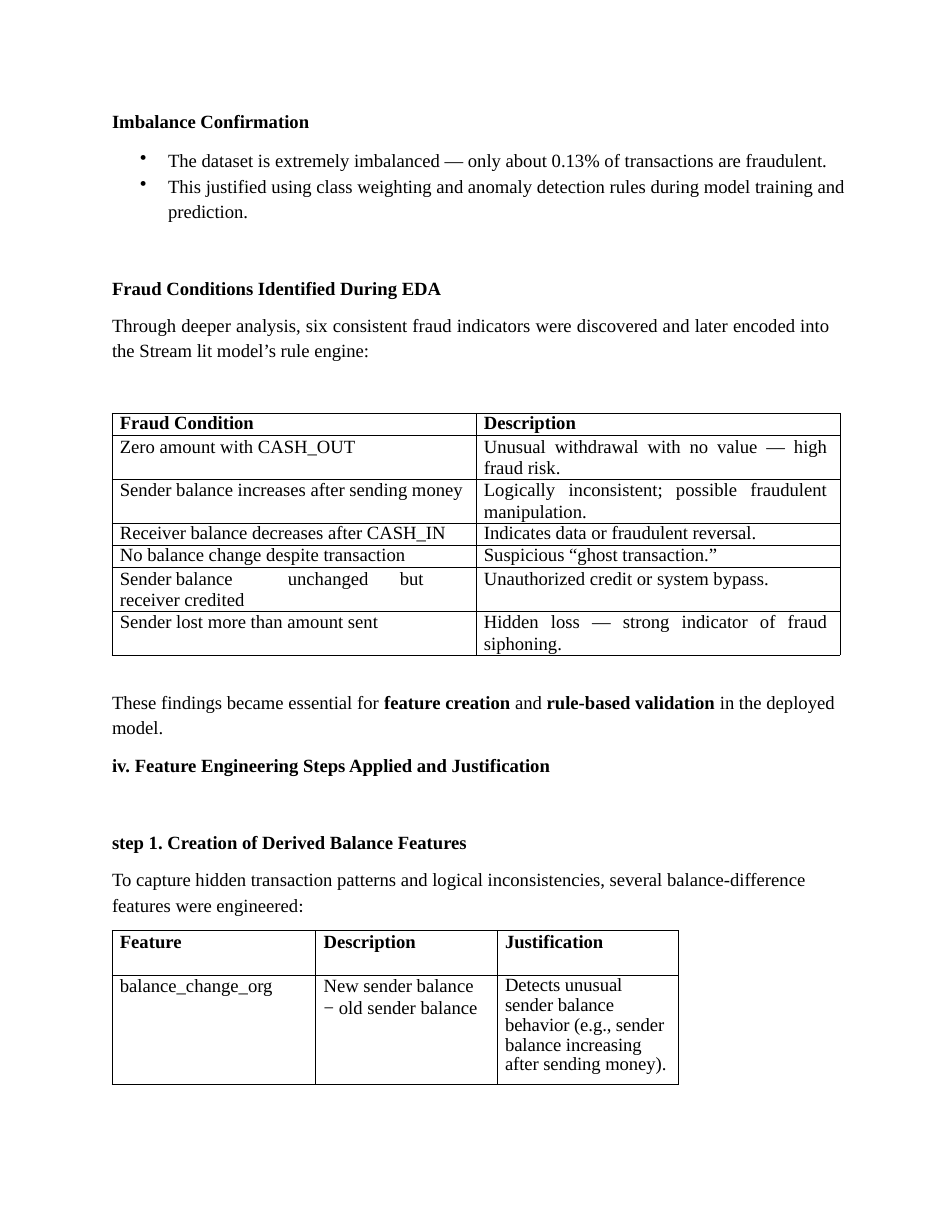
from lxml import etree
from pptx import Presentation
from pptx import util as u
from pptx.dml import color
from pptx.enum import text as t
from pptx.oxml import ns

COLORS = {"ink": "000000", "border": "000000"}
FONT = "Times New Roman"
Inches = u.Inches
JUSTIFY = t.PP_ALIGN.JUSTIFY


def add_run(paragraph, text, bold=False, font=FONT, tracking=0):
    run = paragraph.add_run()
    run.text = text
    run.font.name = font
    run.font.size = u.Pt(12)
    run.font.bold = bold
    run.font.color.rgb = color.RGBColor.from_string(COLORS["ink"])
    if tracking:
        run.font._element.set("spc", str(tracking))


def write(frame, text, bold=False, indent=0.01, hanging=0, right=0, before=0,
          line=None, align=t.PP_ALIGN.LEFT, bullet=None, tabs=(), tracking=0):
    paragraph = frame.paragraphs[0]
    if paragraph.runs:
        paragraph = frame.add_paragraph()
    paragraph.alignment = align
    paragraph.space_before = u.Pt(before)
    if line:
        paragraph.line_spacing = line
    properties = paragraph._p.get_or_add_pPr()
    properties.set("marL", str(Inches(indent)))
    properties.set("indent", str(-Inches(hanging)))
    properties.set("marR", str(Inches(right)))
    if bullet:
        etree.SubElement(properties, ns.qn("a:buChar")).set("char", bullet)
    if tabs:
        tab_list = etree.SubElement(properties, ns.qn("a:tabLst"))
        for position in tabs:
            tab = etree.SubElement(tab_list, ns.qn("a:tab"))
            tab.set("pos", str(Inches(position)))
            tab.set("algn", "l")
    for index, part in enumerate(text.split("**")):
        add_run(paragraph, part, bold or index % 2 == 1, tracking=tracking)
    return paragraph


def add_text_box(slide, left, top, width, height):
    box = slide.shapes.add_textbox(Inches(left), Inches(top), Inches(width), Inches(height))
    frame = box.text_frame
    frame.word_wrap = True
    frame.margin_left = frame.margin_right = frame.margin_bottom = 0
    frame.margin_top = Inches(0.01)
    return frame


def style_cell(cell):
    cell.margin_left = cell.margin_right = cell.margin_top = cell.margin_bottom = 0
    properties = cell._tc.get_or_add_tcPr()
    for side in ("lnL", "lnR", "lnT", "lnB"):
        border = etree.SubElement(properties, ns.qn(f"a:{side}"))
        border.set("w", str(u.Pt(0.5)))
        fill = etree.SubElement(border, ns.qn("a:solidFill"))
        etree.SubElement(fill, ns.qn("a:srgbClr")).set("val", COLORS["border"])
    cell.fill.background()


def add_grid(slide, left, top, columns, heights, rows):
    table = slide.shapes.add_table(
        len(rows), len(columns), Inches(left), Inches(top),
        Inches(sum(columns)), Inches(sum(heights))).table
    table.first_row = table.horz_banding = False
    for column, width in zip(table.columns, columns):
        column.width = Inches(width)
    for row_index, (row, height) in enumerate(zip(rows, heights)):
        table.rows[row_index].height = Inches(height)
        for column_index, (content, cell_format) in enumerate(row):
            cell = table.cell(row_index, column_index)
            style_cell(cell)
            options = {"indent": 0.07, "line": u.Pt(13.8), "bold": row_index == 0}
            options.update(cell_format)
            for line in content.split("\n"):
                write(cell.text_frame, line, **options)


def add_imbalance_section(slide, left, top, width, height):
    frame = add_text_box(slide, left, top, width, height)
    item = {"indent": 0.51, "hanging": 0.25, "bullet": "•", "tabs": (0.51,)}
    write(frame, "Imbalance Confirmation", bold=True, before=1)
    write(frame, "The dataset is extremely imbalanced — only about 0.13% of transactions "
          "are fraudulent.", before=10.6, **item)
    write(frame, "This justified using class weighting and anomaly detection rules during "
          "model training and prediction.", before=0.8, line=1.11, **item)
    write(frame, "Fraud Conditions Identified During EDA", bold=True, before=35)
    write(frame, "Through deeper analysis, six consistent fraud indicators were discovered "
          "and later encoded into the Stream lit model’s rule engine:",
          before=8.1, line=1.11, right=0.15, align=JUSTIFY)


def add_fraud_table(slide, left, top):
    tight = {"line": u.Pt(13.3)}
    justified = {"align": JUSTIFY, "right": 0.11}
    tabbed = {"tabs": (0.7, 1.37, 2.26, 2.63), "right": 0.1}
    rows = [
        [("Fraud Condition", tight), ("Description", tight)],
        [("Zero amount with CASH_OUT", {}),
         ("Unusual withdrawal with no value — high fraud risk.", justified)],
        [("Sender balance increases after sending money", {}),
         ("Logically inconsistent; possible fraudulent manipulation.", justified)],
        [("Receiver balance decreases after CASH_IN", tight),
         ("Indicates data or fraudulent reversal.", tight)],
        [("No balance change despite transaction", tight),
         ("Suspicious “ghost transaction.”", tight)],
        [("Sender\tbalance\tunchanged\tbut\treceiver credited", tabbed),
         ("Unauthorized credit or system bypass.", {})],
        [("Sender lost more than amount sent", {}),
         ("Hidden loss — strong indicator of fraud siphoning.", justified)],
    ]
    single, double = 0.2, 0.39
    heights = [single, double, double, single, single, double, double]
    add_grid(slide, left, top, [3.25, 3.25], heights, rows)


def add_engineering_section(slide, left, top, width, height):
    frame = add_text_box(slide, left, top, width, height)
    write(frame, "These findings became essential for **feature creation** and "
          "**rule-based validation** in the deployed model.", before=1, line=1.11)
    write(frame, "iv. Feature Engineering Steps Applied and Justification",
          bold=True, before=9.6)
    write(frame, "step 1. Creation of Derived Balance Features", bold=True, before=35.3)
    paragraph = write(
        frame, "To capture hidden transaction patterns and logical inconsistencies, several "
        "balance-difference features were engineered", before=7.8, line=1.13)
    add_run(paragraph, ":", font="Calibri")


def add_feature_table(slide, left, top):
    rows = [
        [("Feature", {}), ("Description", {}), ("Justification", {})],
        [("balance_change_org", {}),
         ("New sender balance\n− old sender balance", {}),
         ("Detects unusual sender balance behavior (e.g., sender balance increasing "
          "after sending money).", {"line": 0.96, "right": 0.1, "tracking": -5})],
    ]
    add_grid(slide, left, top, [1.82, 1.62, 1.62], [0.4, 0.97], rows)


def main():
    presentation = Presentation()
    presentation.slide_width = Inches(8.5)
    presentation.slide_height = Inches(11)
    slide = presentation.slides.add_slide(presentation.slide_layouts[6])
    add_imbalance_section(slide, 0.99, 0.97, 6.58, 2.25)
    add_fraud_table(slide, 1, 3.69)
    add_engineering_section(slide, 0.99, 6.14, 6.58, 2.03)
    add_feature_table(slide, 1, 8.31)
    presentation.save("out.pptx")


if __name__ == "__main__":
    main()
